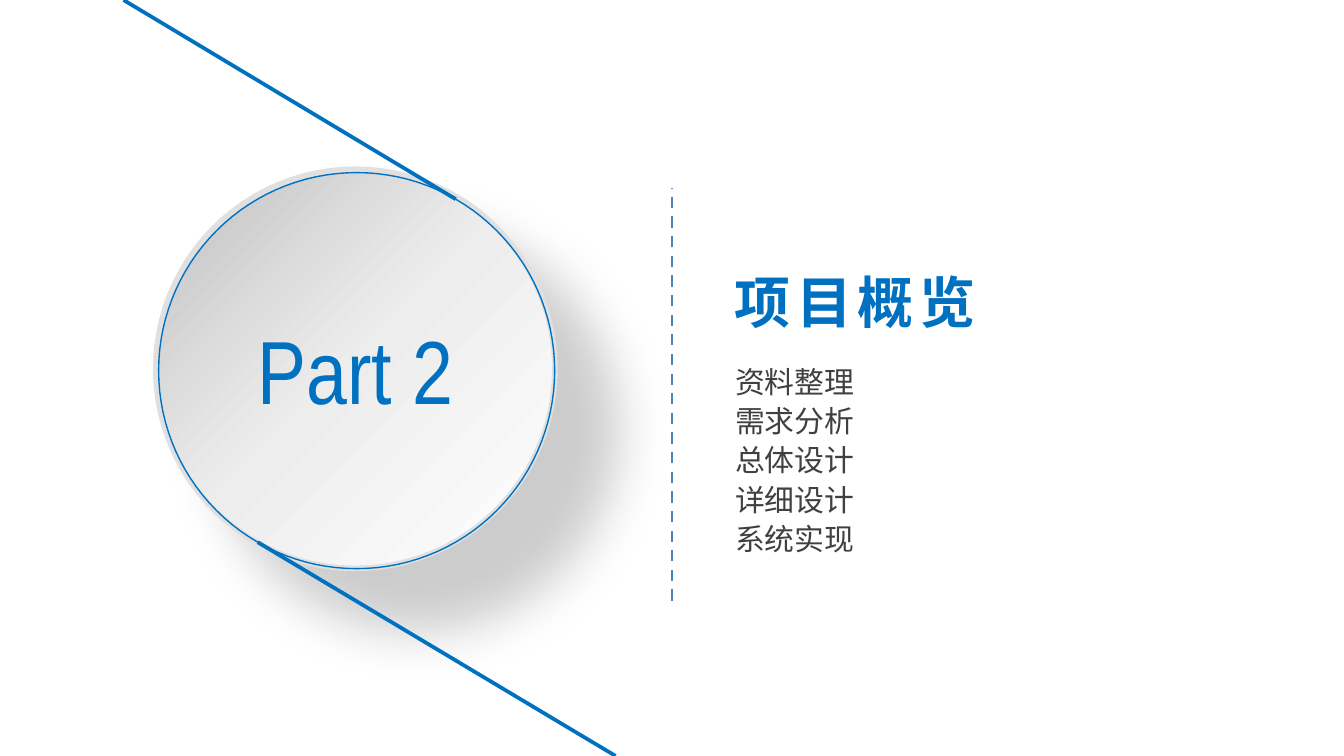
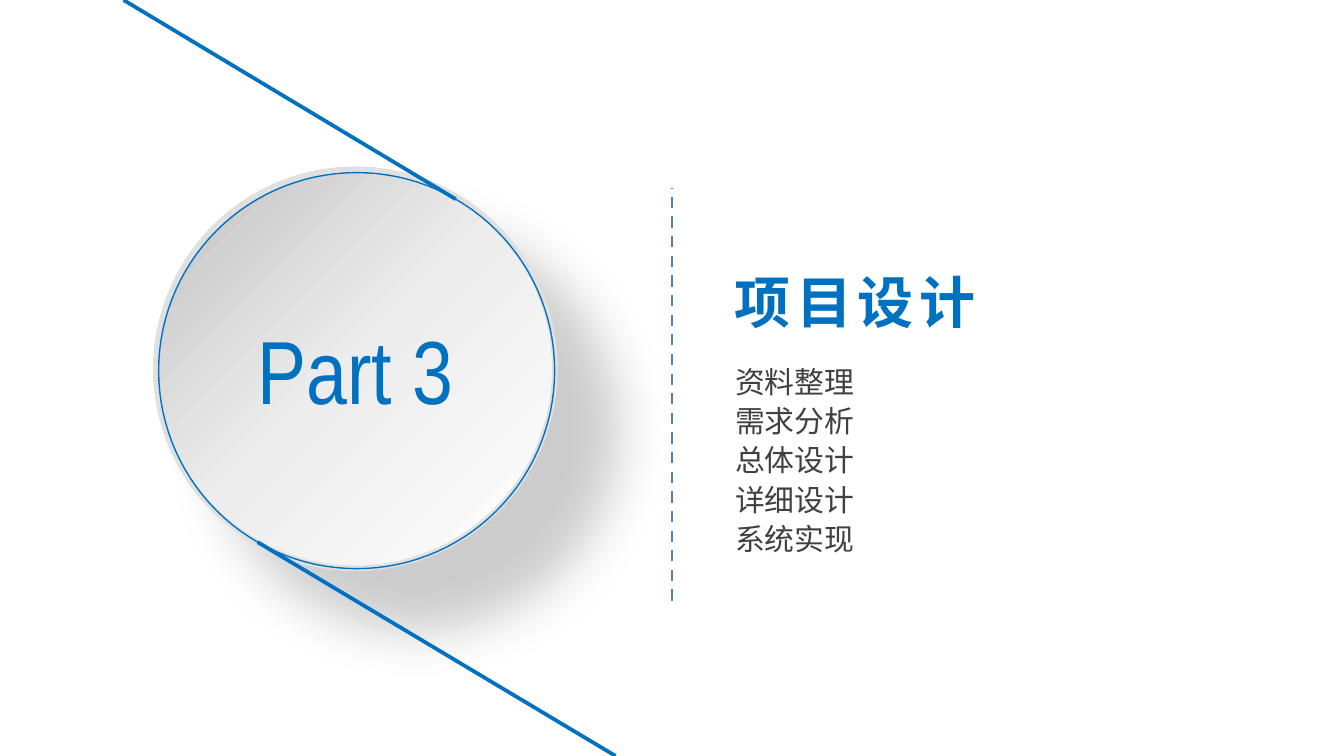
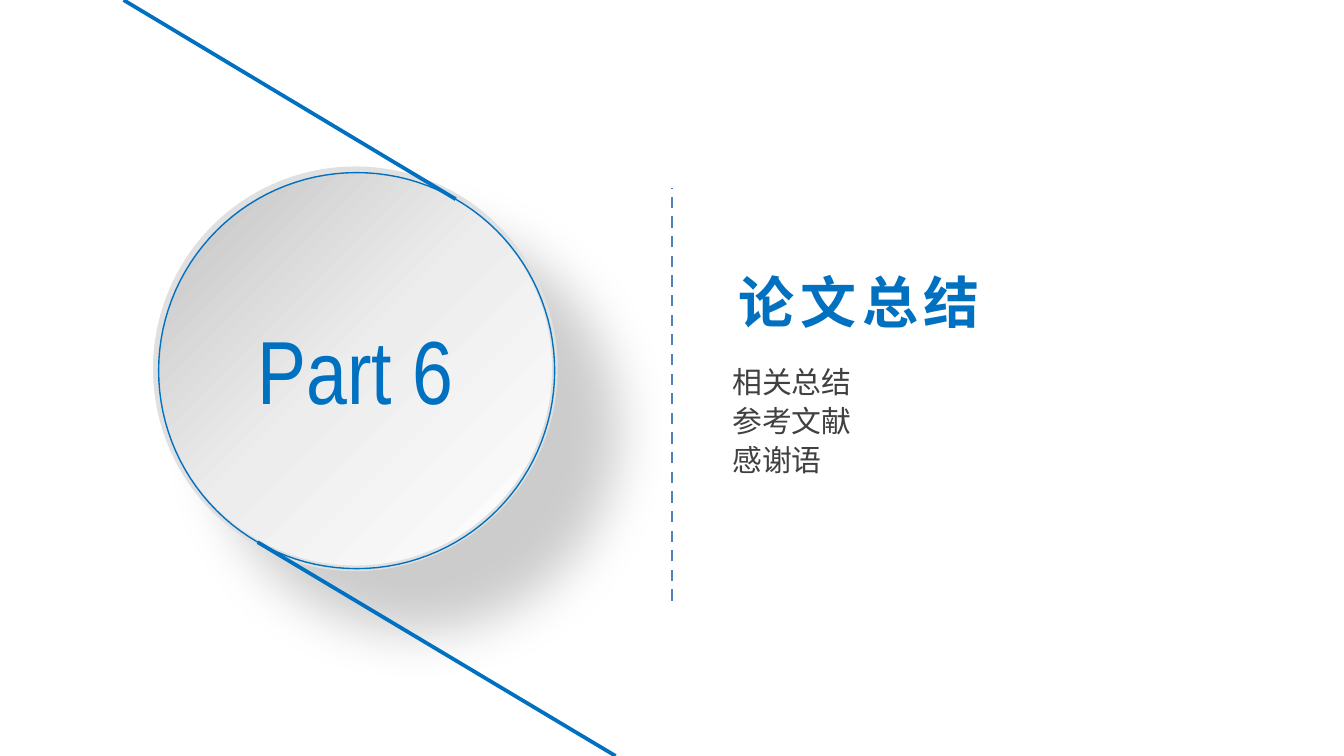
import math

import lxml.etree
import pptx
import pptx.dml.color
import pptx.enum.dml
import pptx.enum.shapes
import pptx.enum.text
import pptx.oxml.ns
import pptx.util

Pt = pptx.util.Pt
qn = pptx.oxml.ns.qn
SubElement = lxml.etree.SubElement

WIDTH, HEIGHT = 720, 405
BLUE, DIVIDER_BLUE, GREY, RIM = "0070C0", "4F81BD", "404040", "E0E0E0"
DISC_STOPS = [(0, "C0C0C0"), (49, "EDEDED"), (100, "FFFFFF")]
LATIN, CJK = "Arial Narrow", "Noto Sans CJK SC"

DESIGN_TOPICS = ["资料整理", "需求分析", "总体设计", "详细设计", "系统实现"]
# label, title, title left, topics, topics left
SECTIONS = [
    ("Part 2", "项目概览", 386.6, DESIGN_TOPICS, 393.8),
    ("Part 3", "项目设计", 386.6, DESIGN_TOPICS, 393.8),
    ("Part 6", "论文总结", 388.8, ["相关总结", "参考文献", "感谢语"], 392.4),
]


def rgb(value):
    return pptx.dml.color.RGBColor.from_string(value)


def set_line(sp, color, width):
    sp.line.color.rgb = rgb(color)
    sp.line.width = Pt(width)


def add_run(p, text, font, size, color, bold=False, spacing=0):
    r = p.add_run()
    r.text = text
    r.font.name = font
    r.font.size = Pt(size)
    r.font.bold = bold
    r.font.color.rgb = rgb(color)
    rPr = r.font._element
    SubElement(rPr, qn("a:ea"), typeface=font)
    if spacing:
        rPr.set("spc", str(spacing * 100))


def add_line(slide, start, end, color, width):
    line = slide.shapes.add_connector(
        pptx.enum.shapes.MSO_CONNECTOR.STRAIGHT, *map(Pt, (*start, *end)))
    set_line(line, color, width)
    SubElement(line._element.spPr, qn("a:effectLst"))
    return line


def add_text(slide, left, top, width, height, text, size, color, wrap=True, **style):
    tf = slide.shapes.add_textbox(*map(Pt, (left, top, width, height))).text_frame
    tf.word_wrap = wrap
    tf.auto_size = pptx.enum.text.MSO_AUTO_SIZE.SHAPE_TO_FIT_TEXT
    add_run(tf.paragraphs[0], text, CJK, size, color, **style)
    return tf


def shade_disc(sp):
    """Give the disc its diagonal gradient and soft shadow."""
    sp.fill.gradient()
    sp.fill.gradient_angle = 315
    stops = sp._element.spPr.find(".//" + qn("a:gsLst"))
    stops.clear()
    for position, color in DISC_STOPS:
        stop = SubElement(stops, qn("a:gs"), pos=str(position * 1000))
        SubElement(stop, qn("a:srgbClr"), val=color)
    sp.shadow.inherit = False
    effects = sp._element.spPr.find(qn("a:effectLst"))
    shadow = SubElement(effects, qn("a:outerShdw"), blurRad=str(Pt(29)),
                        dist=str(Pt(46)), dir=str(45 * 60000),
                        algn="tl", rotWithShape="0")
    black = SubElement(shadow, qn("a:srgbClr"), val="000000")
    SubElement(black, qn("a:alpha"), val="20000")


def add_half_ring(slide, center, radius, start_angle):
    """Draw a clockwise half circle and return its starting point."""
    points = [(center[0] + radius * math.cos(math.radians(a)),
               center[1] + radius * math.sin(math.radians(a)))
              for a in range(start_angle, start_angle + 181, 3)]
    emu = [(Pt(x), Pt(y)) for x, y in points]
    builder = slide.shapes.build_freeform(*emu[0])
    builder.add_line_segments(emu[1:], close=False)
    sp = builder.convert_to_shape()
    sp.fill.background()
    sp.shadow.inherit = False
    set_line(sp, BLUE, 0)
    return points[0]


def add_part_disc(slide, left, top, size, label):
    sp = slide.shapes.add_shape(pptx.enum.shapes.MSO_SHAPE.OVAL,
                                *map(Pt, (left, top, size, size)))
    shade_disc(sp)
    set_line(sp, RIM, 3)
    tf = sp.text_frame
    tf.margin_left = tf.margin_right = 0
    tf.vertical_anchor = pptx.enum.text.MSO_ANCHOR.MIDDLE
    p = tf.paragraphs[0]
    p.alignment = pptx.enum.text.PP_ALIGN.CENTER
    add_run(p, label, LATIN, 48, BLUE)

    center = (left + size / 2 + 0.7, top + size / 2 + 1)
    radius = size / 2 - 0.8
    upper = add_half_ring(slide, center, radius, -60)
    lower = add_half_ring(slide, center, radius, 120)
    add_line(slide, upper, (left - 17.3, 0), BLUE, 0)
    add_line(slide, (left + 246.3, HEIGHT), lower, BLUE, 0)


def add_divider(slide, x, top, height):
    line = add_line(slide, (x, top + height), (x, top), DIVIDER_BLUE, 1.5)
    line.line.dash_style = pptx.enum.dml.MSO_LINE.DASH


def add_topics(slide, left, top, width, topics):
    for i, topic in enumerate(topics):
        tf = add_text(slide, left, top + i * 20.9, width, 19.4, topic, 16, GREY)
        tf.margin_left = tf.margin_right = tf.margin_top = tf.margin_bottom = 0


def add_section(prs, label, title, title_left, topics, topics_left):
    slide = prs.slides.add_slide(prs.slide_layouts[6])
    add_part_disc(slide, 83.5, 90.7, 213.8, label)
    add_text(slide, title_left, 139.7, 147.6, 43.9, title, 30, BLUE,
             wrap=False, bold=True, spacing=3)
    add_divider(slide, WIDTH / 2, 100.8, 221)
    add_topics(slide, topics_left, 195.1, 147.6, topics)


def main():
    prs = pptx.Presentation()
    prs.slide_width, prs.slide_height = Pt(WIDTH), Pt(HEIGHT)
    for section in SECTIONS:
        add_section(prs, *section)
    prs.save("out.pptx")


if __name__ == "__main__":
    main()
